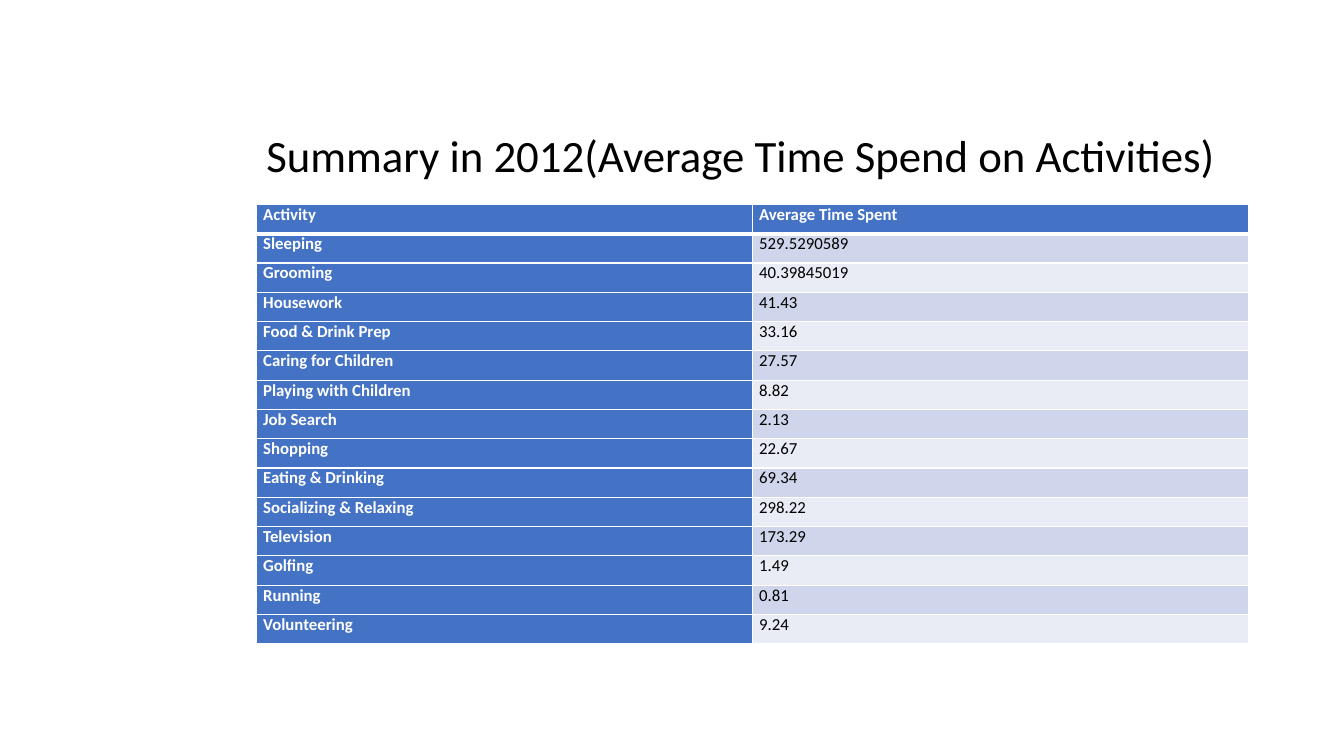
import pptx
import pptx.dml.color
import pptx.enum.text
import pptx.oxml
import pptx.oxml.ns
import pptx.util

Pt = pptx.util.Pt
FONT = "Calibri"
COLORS = {"head": "4472C4", "odd": "CFD5EA", "even": "E9EBF5",
          "white": "FFFFFF", "black": "000000"}
ROWS = [
    ("Activity", "Average Time Spent"),
    ("Sleeping", "529.5290589"),
    ("Grooming", "40.39845019"),
    ("Housework", "41.43"),
    ("Food & Drink Prep", "33.16"),
    ("Caring for Children", "27.57"),
    ("Playing with Children", "8.82"),
    ("Job Search", "2.13"),
    ("Shopping", "22.67"),
    ("Eating & Drinking", "69.34"),
    ("Socializing & Relaxing", "298.22"),
    ("Television", "173.29"),
    ("Golfing", "1.49"),
    ("Running", "0.81"),
    ("Volunteering", "9.24"),
]


def rgb(name):
    return pptx.dml.color.RGBColor.from_string(COLORS[name])


def style(para, size, color, bold=False):
    font = para.font
    font.name, font.size, font.bold = FONT, Pt(size), bold
    font.color.rgb = rgb(color)


def add_title(slide, text):
    title = slide.shapes.title
    title.left, title.top = Pt(183), Pt(8)
    title.width, title.height = Pt(762), Pt(126)
    frame = title.text_frame
    frame.text = text
    frame.word_wrap = True
    frame.auto_size = pptx.enum.text.MSO_AUTO_SIZE.NONE
    frame.vertical_anchor = pptx.enum.text.MSO_ANCHOR.BOTTOM
    para = frame.paragraphs[0]
    para.alignment = pptx.enum.text.PP_ALIGN.LEFT
    para.line_spacing = 0.9
    style(para, 32, "black")


def add_edge(cell, side, width):
    space = pptx.oxml.ns.nsdecls("a")
    line = pptx.oxml.parse_xml(
        f'<a:ln{side} {space} w="{Pt(width)}"><a:solidFill>'
        f'<a:srgbClr val="{COLORS["white"]}"/></a:solidFill></a:ln{side}>')
    cell._tc.get_or_add_tcPr().append(line)


def fill_cell(cell, text, row, col):
    head = row == 0 or col == 0
    cell.text = text
    cell.margin_left = cell.margin_right = Pt(5)
    cell.margin_top = cell.margin_bottom = 0
    style(cell.text_frame.paragraphs[0], 12, "white" if head else "black", head)
    for side in "LRTB":
        thick = (side == "B" and row == 0) or (side == "T" and row == 1)
        add_edge(cell, side, 3 if thick else 1)
    cell.fill.solid()
    cell.fill.fore_color.rgb = rgb("head" if head else "odd" if row % 2 else "even")


def add_table(slide, rows):
    count, high = len(rows), 20.93
    frame = slide.shapes.add_table(count, 2, Pt(183), Pt(146),
                                   Pt(708.6), Pt(high * count))
    table = frame.table
    table.first_col = True
    for col in table.columns:
        col.width = Pt(354.3)
    for row, texts in enumerate(rows):
        table.rows[row].height = Pt(high)
        for col, text in enumerate(texts):
            fill_cell(table.cell(row, col), text, row, col)


def main():
    """Build the slide with the 2012 summary of time spent on activities."""
    deck = pptx.Presentation()
    deck.slide_width, deck.slide_height = Pt(960), Pt(540)
    slide = deck.slides.add_slide(deck.slide_layouts[5])
    add_title(slide, "Summary in 2012(Average Time Spend on Activities)")
    add_table(slide, ROWS)
    deck.save("out.pptx")


if __name__ == "__main__":
    main()
